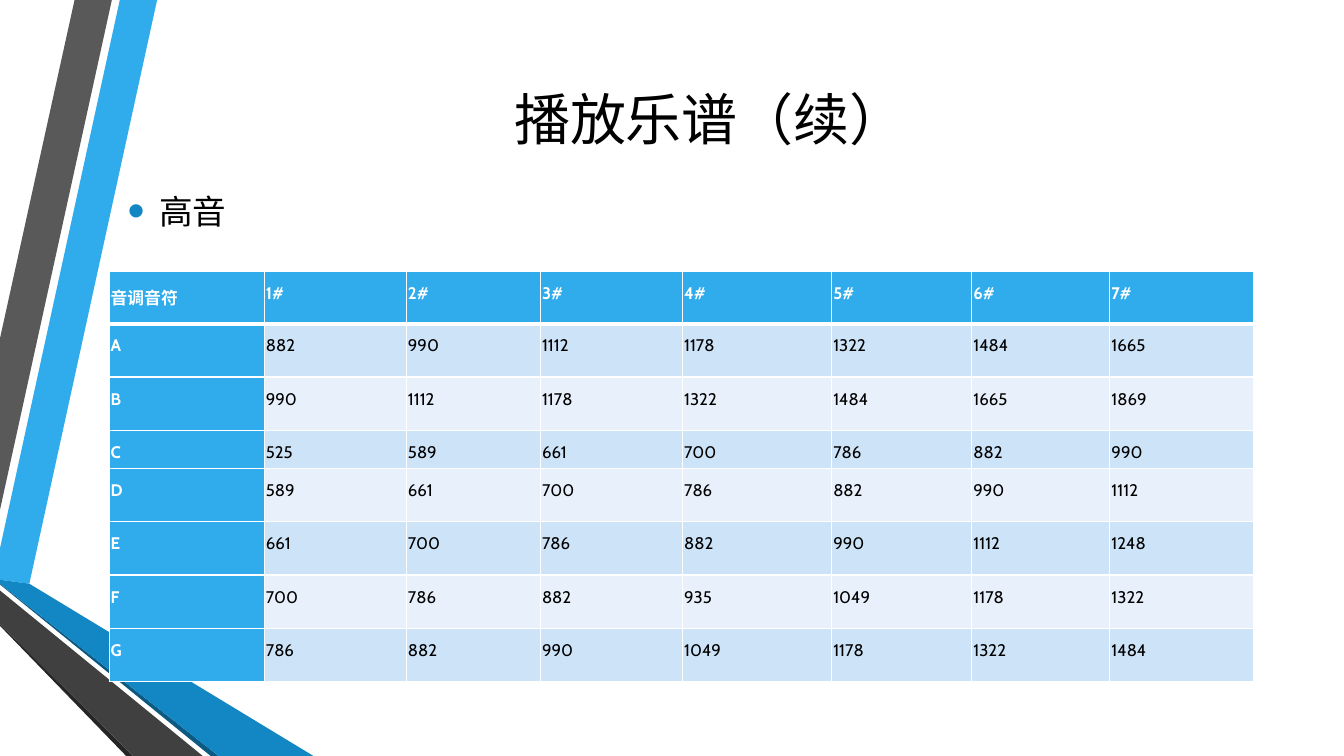
from lxml.etree import SubElement
from pptx import Presentation
from pptx.dml.color import RGBColor
from pptx.enum.text import MSO_ANCHOR, PP_ALIGN
from pptx.oxml.ns import qn
from pptx.util import Cm, Pt

COLORS = {
    "sky": "30ACEC", "blue": "1287C3", "navy": "0C5A82",
    "gray": "595959", "charcoal": "404040", "coal": "262626",
    "band_dark": "CDE3F8", "band_light": "E8F1FB",
    "black": "000000", "white": "FFFFFF",
}


def write_text(paragraph, text, size, color="black", bold=False):
    run = paragraph.add_run()
    run.text = text
    run.font.color.rgb = RGBColor.from_string(COLORS[color])
    for name, value in {"name": "Cabin", "size": Pt(size), "bold": bold}.items():
        setattr(run.font, name, value)


def add_border(cell, side, points):
    line = SubElement(cell._tc.get_or_add_tcPr(), qn(f"a:{side}"), w=str(Pt(points)))
    fill = SubElement(line, qn("a:solidFill"))
    SubElement(fill, qn("a:srgbClr"), val=COLORS["white"])


presentation = Presentation()
presentation.slide_width = Cm(33.87)
presentation.slide_height = Cm(19.05)
slide = presentation.slides.add_slide(presentation.slide_layouts[6])

# Ribbons on the left, from back to front
ribbons = [
    ("sky", [(0, 13.82), (0, 14.61), (0.74, 14.71), (3.96, 0), (3.02, 0)]),
    ("gray", [(2.82, 0), (1.88, 0), (0, 8.53), (0, 12.85)]),
    ("coal", [(0, 15.72), (0, 15.77), (3.18, 19.05), (3.35, 19.05)]),
    ("navy", [(0, 14.71), (0, 14.73), (5.31, 19.05), (5.51, 19.05)]),
    ("blue", [(0, 14.71), (5.51, 19.05), (7.9, 19.05), (0.74, 14.71), (0, 14.61)]),
    ("charcoal", [(0, 15.72), (3.35, 19.05), (5.11, 19.05), (0, 14.88)]),
]
for color, corners in ribbons:
    points = [(Cm(x), Cm(y)) for x, y in corners]
    builder = slide.shapes.build_freeform(*points[0])
    builder.add_line_segments(points[1:], close=True)
    ribbon = builder.convert_to_shape()
    ribbon.shadow.inherit = False
    ribbon.fill.solid()
    ribbon.fill.fore_color.rgb = RGBColor.from_string(COLORS[color])
    ribbon.line.fill.background()

# Title and bulleted subtitle
headings = [
    ("播放乐谱（续）", 40, PP_ALIGN.CENTER, (3.63, 1.27, 28.52, 3.43)),
    ("高音", 24, PP_ALIGN.LEFT, (2.97, 4.47, 29.21, 1.7)),
]
for text, size, alignment, box in headings:
    shape = slide.shapes.add_textbox(*[Cm(length) for length in box])
    shape.text_frame.word_wrap = True
    shape.text_frame.vertical_anchor = MSO_ANCHOR.MIDDLE
    paragraph = shape.text_frame.paragraphs[0]
    paragraph.alignment = alignment
    write_text(paragraph, text, size)

properties = paragraph._p.get_or_add_pPr()
properties.set("marL", str(Cm(0.79)))
properties.set("indent", str(-Cm(0.79)))
bullet_color = SubElement(properties, qn("a:buClr"))
SubElement(bullet_color, qn("a:srgbClr"), val=COLORS["blue"])
SubElement(properties, qn("a:buSzPct"), val="145000")
SubElement(properties, qn("a:buFont"), typeface="Arial")
SubElement(properties, qn("a:buChar"), char="•")

# Table of high-note frequencies
notes = [
    ["音调音符", "1#", "2#", "3#", "4#", "5#", "6#", "7#"],
    ["A", 882, 990, 1112, 1178, 1322, 1484, 1665],
    ["B", 990, 1112, 1178, 1322, 1484, 1665, 1869],
    ["C", 525, 589, 661, 700, 786, 882, 990],
    ["D", 589, 661, 700, 786, 882, 990, 1112],
    ["E", 661, 700, 786, 882, 990, 1112, 1248],
    ["F", 700, 786, 882, 935, 1049, 1178, 1322],
    ["G", 786, 882, 990, 1049, 1178, 1322, 1484],
]
column_widths = [3.91, 3.58, 3.38, 3.58, 3.76, 3.53, 3.48, 3.61]
row_heights = [1.32, 1.34, 1.34, 0.97, 1.34, 1.34, 1.34, 1.34]
table = slide.shapes.add_table(
    len(notes), len(column_widths), Cm(2.75), Cm(6.84),
    Cm(sum(column_widths)), Cm(sum(row_heights)),
).table
table.first_col = True
for column, width in zip(table.columns, column_widths):
    column.width = Cm(width)
for row, height in zip(table.rows, row_heights):
    row.height = Cm(height)

cell_format = {f"margin_{side}": Cm(0.04) for side in ("left", "top", "right", "bottom")}
paragraph_format = {"line_spacing": 1.5, "space_before": Pt(7.5), "space_after": Pt(7.5)}
for row_index, values in enumerate(notes):
    for column_index, value in enumerate(values):
        cell = table.cell(row_index, column_index)
        is_header = row_index == 0 or column_index == 0
        band = "band_dark" if row_index % 2 else "band_light"
        for name, setting in cell_format.items():
            setattr(cell, name, setting)
        for side in ("lnL", "lnR", "lnT", "lnB"):
            header_edge = (row_index, side) in ((0, "lnB"), (1, "lnT"))
            add_border(cell, side, 3 if header_edge else 1)
        cell.fill.solid()
        cell.fill.fore_color.rgb = RGBColor.from_string(COLORS["sky" if is_header else band])
        paragraph = cell.text_frame.paragraphs[0]
        for name, setting in paragraph_format.items():
            setattr(paragraph, name, setting)
        write_text(paragraph, str(value), 12, "white" if is_header else "black", is_header)

presentation.save("out.pptx")
